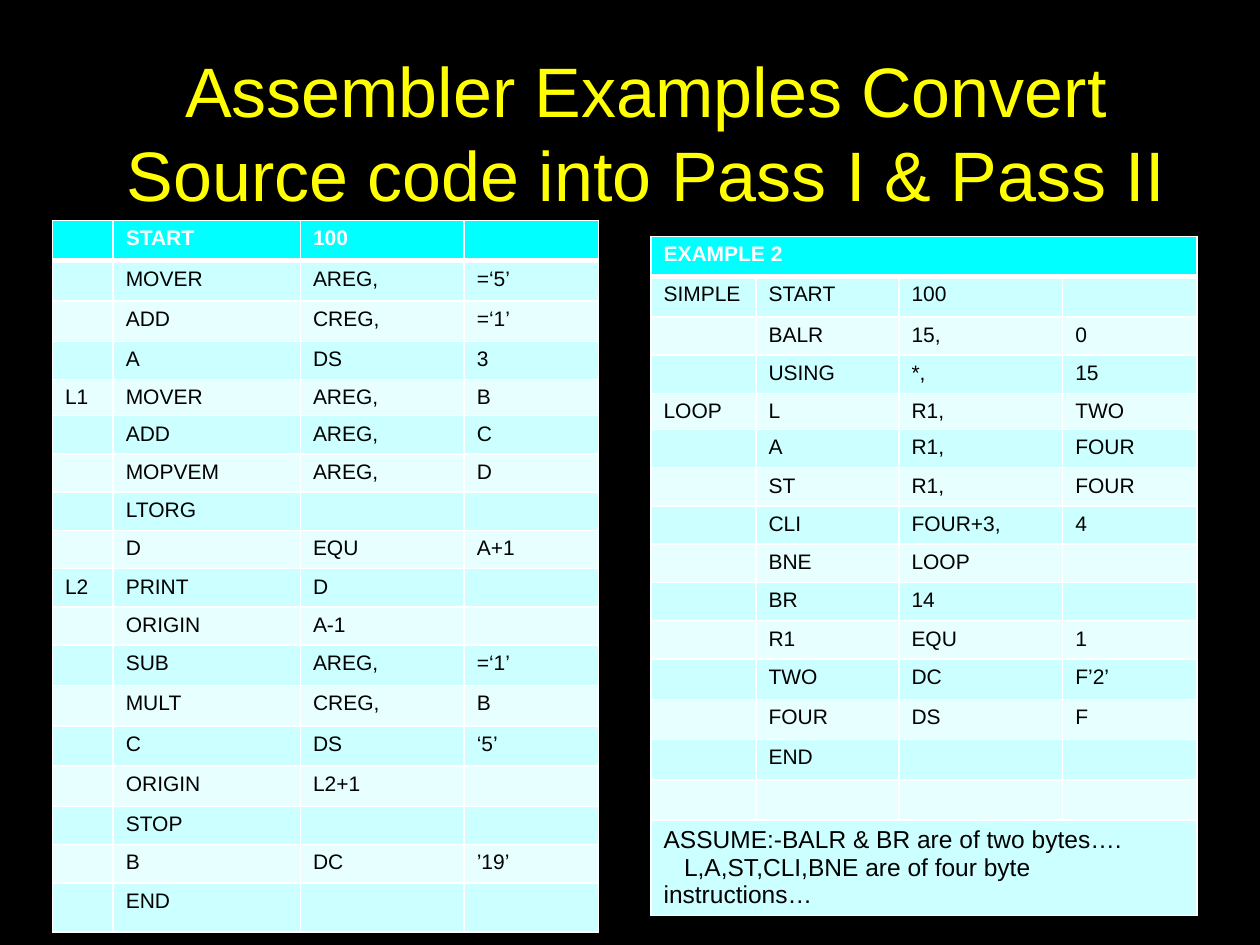
import lxml.etree
import pptx
import pptx.dml.color
import pptx.enum.text
import pptx.oxml.ns
import pptx.util

Pt = pptx.util.Pt
qn = pptx.oxml.ns.qn
FONT = "Arial"
BLACK, WHITE, YELLOW = "000000", "FFFFFF", "FFFF00"
HEADER, BANDS = "00FFFF", ("CCFFFF", "E7FFFF")
SHORT, TALL = 20.64, 23.04

PASS_EXAMPLE = [
    ("", "START", "100", ""),
    ("", "MOVER", "AREG,", "=‘5’"),
    ("", "ADD", "CREG,", "=‘1’"),
    ("", "A", "DS", "3"),
    ("L1", "MOVER", "AREG,", "B"),
    ("", "ADD", "AREG,", "C"),
    ("", "MOPVEM", "AREG,", "D"),
    ("", "LTORG", "", ""),
    ("", "D", "EQU", "A+1"),
    ("L2", "PRINT", "D", ""),
    ("", "ORIGIN", "A-1", ""),
    ("", "SUB", "AREG,", "=‘1’"),
    ("", "MULT", "CREG,", "B"),
    ("", "C", "DS", "‘5’"),
    ("", "ORIGIN", "L2+1", ""),
    ("", "STOP", "", ""),
    ("", "B", "DC", "’19’"),
    ("", "END", "", ""),
]
SIMPLE_EXAMPLE = [
    ("EXAMPLE 2",),
    ("SIMPLE", "START", "100", ""),
    ("", "BALR", "15,", "0"),
    ("", "USING", "*,", "15"),
    ("LOOP", "L", "R1,", "TWO"),
    ("", "A", "R1,", "FOUR"),
    ("", "ST", "R1,", "FOUR"),
    ("", "CLI", "FOUR+3,", "4"),
    ("", "BNE", "LOOP", ""),
    ("", "BR", "14", ""),
    ("", "R1", "EQU", "1"),
    ("", "TWO", "DC", "F’2’"),
    ("", "FOUR", "DS", "F"),
    ("", "END", "", ""),
    ("", "", "", ""),
    ("ASSUME:-BALR & BR are of two bytes….\n"
     "L,A,ST,CLI,BNE are of four byte instructions…",),
]


def rgb(value):
    return pptx.dml.color.RGBColor.from_string(value)


def paint(fill, color):
    fill.solid()
    fill.fore_color.rgb = rgb(color)


def style_text(text_frame, size, color, bold=False):
    for paragraph in text_frame.paragraphs:
        for run in paragraph.runs:
            run.font.name = FONT
            run.font.size = Pt(size)
            run.font.bold = bold
            run.font.color.rgb = rgb(color)
        if not paragraph.runs:  # an empty cell must not stretch its row
            end = lxml.etree.SubElement(paragraph._p, qn("a:endParaRPr"))
            end.set("sz", str(size * 100))


def add_borders(cell, bottom_width):
    properties = cell._tc.get_or_add_tcPr()
    for side, width in (("L", 1), ("R", 1), ("T", 1), ("B", bottom_width)):
        line = lxml.etree.SubElement(properties, qn(f"a:ln{side}"), w=str(Pt(width)))
        solid = lxml.etree.SubElement(line, qn("a:solidFill"))
        lxml.etree.SubElement(solid, qn("a:srgbClr"), val=WHITE)


def add_title(slide, left, top, width, height):
    title = slide.shapes.title
    title.left, title.top, title.width, title.height = map(Pt, (left, top, width, height))
    frame = title.text_frame
    frame.text = "Assembler Examples Convert Source code into Pass I & Pass II"
    frame.word_wrap = True
    frame.auto_size = pptx.enum.text.MSO_AUTO_SIZE.NONE
    frame.vertical_anchor = pptx.enum.text.MSO_ANCHOR.MIDDLE
    frame.paragraphs[0].alignment = pptx.enum.text.PP_ALIGN.CENTER
    style_text(frame, 40, YELLOW)


def add_listing(slide, left, top, rows, widths, heights):
    """Add a banded code table; a row with a single text spans all columns."""
    table = slide.shapes.add_table(
        len(rows), len(widths), Pt(left), Pt(top), Pt(sum(widths)), Pt(sum(heights))
    ).table
    for column, width in zip(table.columns, widths):
        column.width = Pt(width)
    for index, (texts, height) in enumerate(zip(rows, heights)):
        table.rows[index].height = Pt(height)
        is_header = index == 0
        if len(texts) == 1:
            table.cell(index, 0).merge(table.cell(index, len(widths) - 1))
        for column in range(len(widths)):
            cell = table.cell(index, column)
            add_borders(cell, 3 if is_header else 1)
            paint(cell.fill, HEADER if is_header else BANDS[(index - 1) % 2])
            cell.text_frame.text = texts[column] if column < len(texts) else ""
            style_text(cell.text_frame, 12, WHITE if is_header else BLACK, is_header)
    return table


def format_assumption(cell):
    style_text(cell.text_frame, 14, BLACK)
    second = cell.text_frame.paragraphs[1]._p.get_or_add_pPr()
    second.set("marL", "0")
    second.set("indent", str(Pt(11.67)))


def main():
    presentation = pptx.Presentation()
    presentation.slide_width, presentation.slide_height = Pt(720), Pt(540)
    slide = presentation.slides.add_slide(presentation.slide_layouts[5])
    paint(slide.background.fill, BLACK)

    add_title(slide, 54, 23.76, 630, 102.24)
    add_listing(slide, 30, 126, PASS_EXAMPLE, (34.7, 107, 93.6, 76.7),
                [TALL] * 3 + [SHORT] * 8 + [TALL] * 4 + [SHORT] * 2 + [28])
    simple = add_listing(slide, 372, 135, SIMPLE_EXAMPLE, (60, 81.7, 93.6, 76.7),
                         [TALL] * 2 + [SHORT] * 9 + [TALL] * 4 + [54])
    format_assumption(simple.cell(len(SIMPLE_EXAMPLE) - 1, 0))

    presentation.save("out.pptx")


if __name__ == "__main__":
    main()
